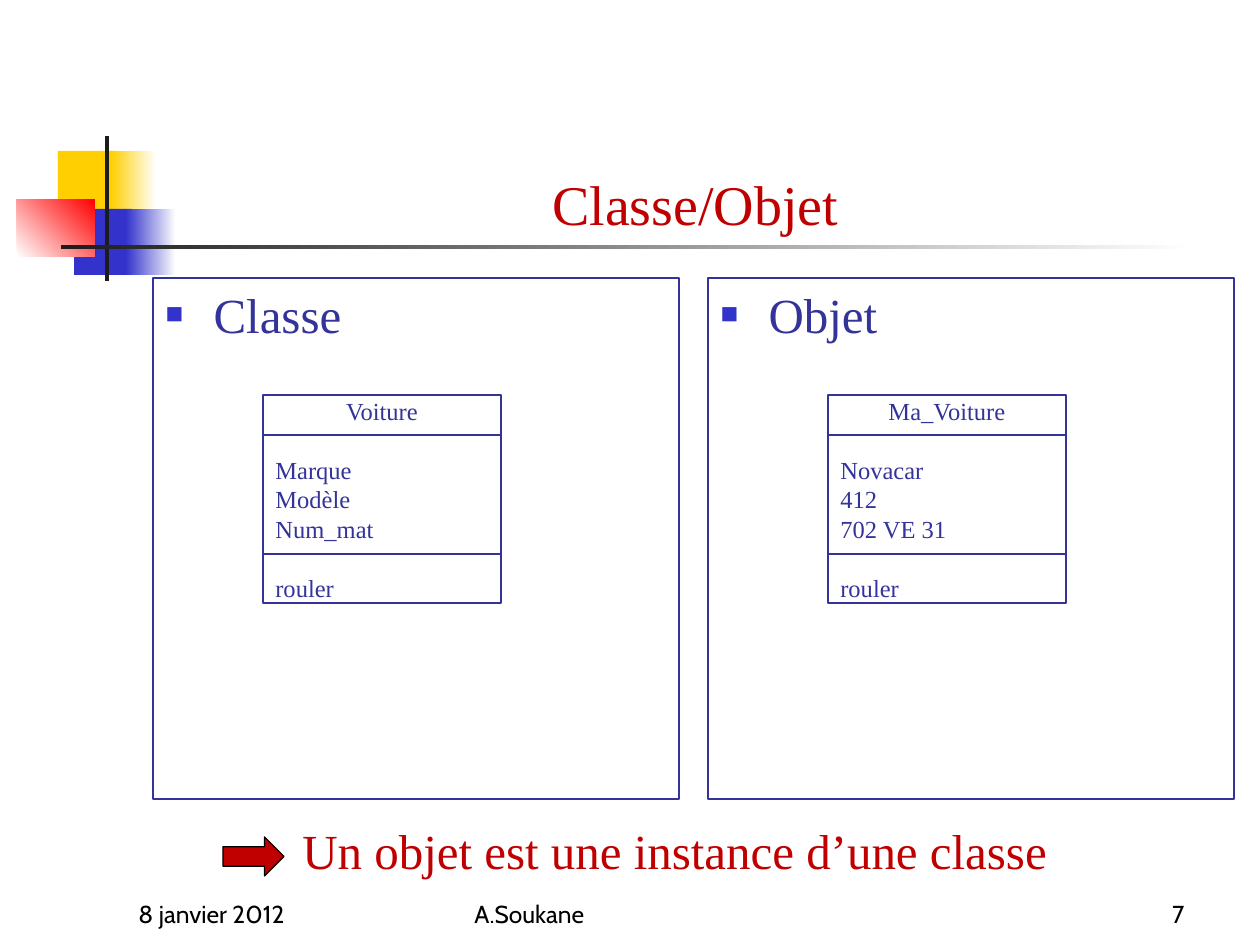
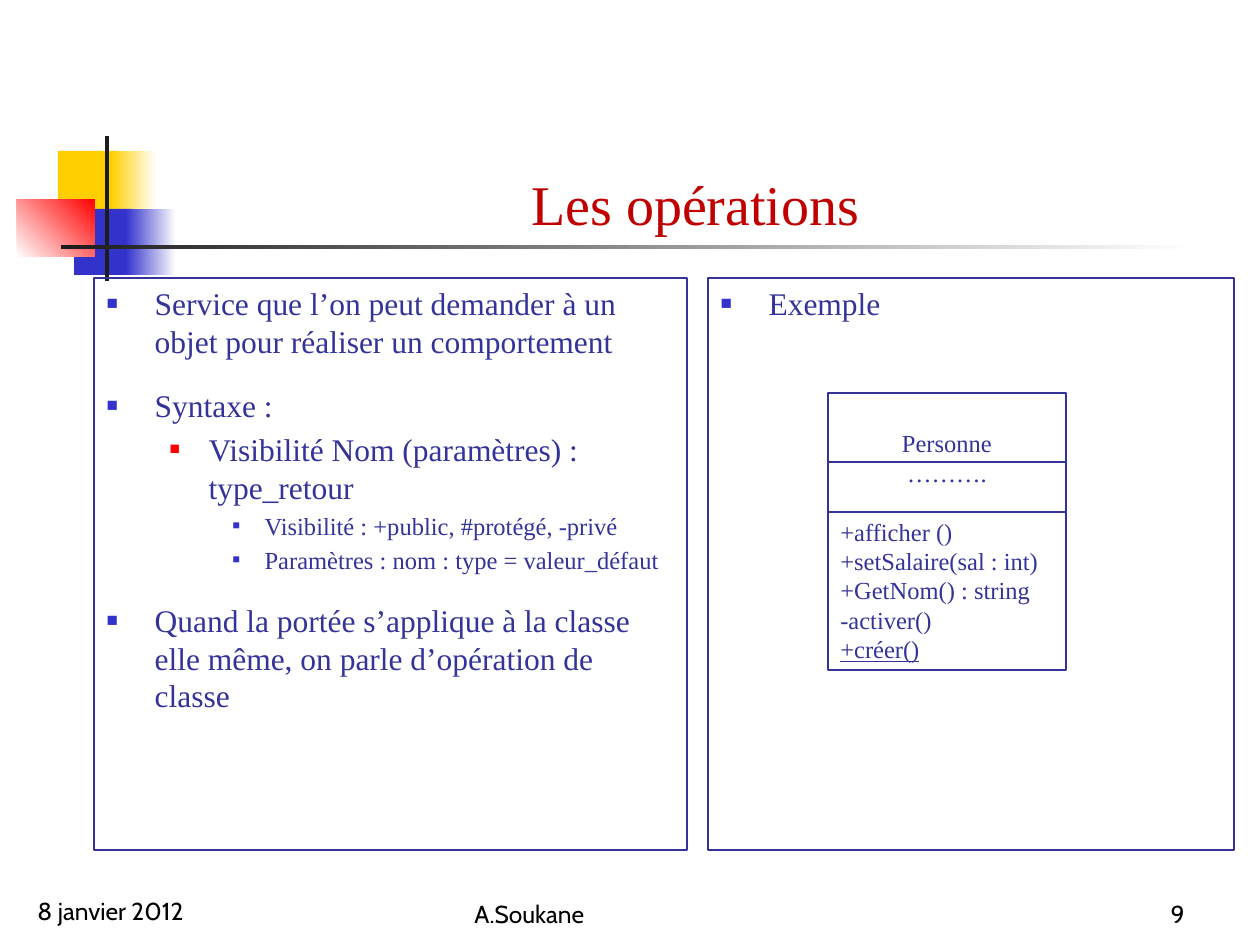
import pptx
import pptx.util
import pptx.dml.color
import pptx.enum.dml
import pptx.enum.shapes
import pptx.enum.text
import pptx.oxml
import pptx.oxml.ns
import lxml.etree

SCALE = 914400 // 126
COLORS = {
    "title": "C00000", "text": "333399", "blue": "3333CC", "red": "FF0000",
    "yellow": "FFCF01", "dark": "1C1C1C", "white": "FFFFFF", "black": "000000",
}
SERIF = "Times New Roman"
SANS = "Cabin"
ALIGN = pptx.enum.text.PP_ALIGN
ANCHOR = pptx.enum.text.MSO_ANCHOR
SHAPE = pptx.enum.shapes.MSO_SHAPE
LEVELS = [(48, 48, "blue", 60), (102, 39, "red", 55), (158, 32, "blue", 50)]


def emu(*pixels):
    return [pptx.util.Emu(pixel * SCALE) for pixel in pixels]


def rgb(name):
    return pptx.dml.color.RGBColor.from_string(COLORS[name])


def place(item, area):
    item.left, item.top, item.width, item.height = emu(*area)


def write(para, text, size=14, font=SERIF, color="text", align=ALIGN.LEFT,
          before=0, underline=None):
    para.alignment = align
    para.space_before = pptx.util.Pt(before)
    span = para.add_run()
    span.text = text
    span.font.size = pptx.util.Pt(size)
    span.font.name = font
    span.font.color.rgb = rgb(color)
    span.font.underline = underline


def add_bullet(para, level):
    indent, hanging, color, percent = LEVELS[level]
    para.level = level
    properties = para._p.get_or_add_pPr()
    properties.set("marL", str(indent * SCALE))
    properties.set("indent", str(-hanging * SCALE))
    tag = pptx.oxml.ns.qn
    tint = lxml.etree.SubElement(properties, tag("a:buClr"))
    lxml.etree.SubElement(tint, tag("a:srgbClr"), val=COLORS[color])
    lxml.etree.SubElement(properties, tag("a:buSzPct"), val=str(percent * 1000))
    lxml.etree.SubElement(properties, tag("a:buChar"), char="■")


class Lesson:
    def __init__(self):
        self.deck = pptx.Presentation()
        self.deck.slide_width = pptx.util.Inches(10)
        self.deck.slide_height = pptx.util.Inches(7.5)
        self.page = None

    def start(self, title, number, date_corner=(126, 872)):
        self.page = self.deck.slides.add_slide(self.deck.slide_layouts[3])
        self.emblem()
        for holder in self.page.placeholders:
            holder.element.getparent().append(holder.element)
        heading = self.page.shapes.title
        place(heading, (159, 86, 1073, 157))
        self.fill_text(heading, [(title, {})], anchor=ANCHOR.BOTTOM,
                       size=32, color="title", align=ALIGN.CENTER)
        footer = dict(anchor=ANCHOR.BOTTOM, font=SANS, color="black")
        self.label((*date_corner, 262, 63), "8 janvier 2012", **footer)
        self.label((462, 872, 399, 63), "A.Soukane", **footer)
        self.label((935, 872, 262, 63), number, align=ALIGN.RIGHT, **footer)

    def emblem(self):
        self.block((58, 151, 60, 66), "yellow")
        self.block((111, 151, 45, 66), "yellow", "white")
        self.block((74, 209, 58, 66), "blue")
        self.block((126, 209, 50, 66), "blue", "white")
        self.block((17, 199, 78, 58), "white", "red", angle=45)
        self.block((105, 136, 4, 145), "dark")
        self.block((61, 245, 1134, 4), "dark", "white")

    def block(self, area, color, fade=None, angle=0, outline=None, kind=SHAPE.RECTANGLE):
        box = self.page.shapes.add_shape(kind, *emu(*area))
        box.shadow.inherit = False
        if fade:
            box.fill.gradient()
            box.fill.gradient_angle = angle
            for stop, name in zip(box.fill.gradient_stops, (color, fade)):
                stop.color.rgb = rgb(name)
        else:
            box.fill.solid()
            box.fill.fore_color.rgb = rgb(color)
        self.outline(box, outline)
        return box

    def outline(self, item, color):
        if color:
            item.line.color.rgb = rgb(color)
            item.line.width = pptx.util.Pt(0.75)
        else:
            item.line.fill.background()

    def fill_text(self, box, lines, anchor=ANCHOR.TOP, **style):
        frame = box.text_frame
        frame.word_wrap = True
        frame.auto_size = pptx.enum.text.MSO_AUTO_SIZE.NONE
        frame.vertical_anchor = anchor
        for index, (text, options) in enumerate(lines):
            para = frame.add_paragraph() if index else frame.paragraphs[0]
            write(para, text, **{**style, **options})

    def label(self, area, text, **style):
        box = self.page.shapes.add_textbox(*emu(*area))
        self.fill_text(box, [(text, {})], **style)
        return box

    def panel(self, index, area, items, size):
        box = self.page.placeholders[index]
        place(box, area)
        box.fill.background()
        self.outline(box, "text")
        self.fill_text(box, [(text, options) for level, text, options in items], size=size)
        for para, (level, text, options) in zip(box.text_frame.paragraphs, items):
            add_bullet(para, level)

    def divider(self, left, top, width):
        line = self.page.shapes.add_connector(
            pptx.enum.shapes.MSO_CONNECTOR.STRAIGHT, *emu(left, top, left + width, top))
        self.outline(line, "text")
        lxml.etree.SubElement(line._element.spPr, pptx.oxml.ns.qn("a:effectLst"))
        return line

    def class_diagram(self, area, dividers, lines, anchor=ANCHOR.MIDDLE):
        box = self.block(area, "white", outline="text")
        self.fill_text(box, lines, anchor=anchor)
        rules = [self.divider(area[0], top, area[2]) for top in dividers]
        self.page.shapes.add_group_shape([box, *rules])

    def conclusion(self, text):
        sentence = self.label((290, 820, 887, 59), text, anchor=ANCHOR.MIDDLE,
                              size=28, color="title")
        arrow = self.block((223, 837, 61, 39), "title", outline="black",
                           kind=SHAPE.RIGHT_ARROW)
        self.page.shapes.add_group_shape([sentence, arrow])


CENTER = {"align": ALIGN.CENTER}
SECTION = {"before": 16.8}
lesson = Lesson()

lesson.start("Classe/Objet", "7")
columns = [
    (153, 263, "Classe", "Voiture", ["Marque", "Modèle", "Num_mat"]),
    (708, 828, "Objet", "Ma_Voiture", ["Novacar", "412", "702 VE 31"]),
]
for index, (left, diagram_left, heading, name, fields) in enumerate(columns, 1):
    lesson.panel(index, (left, 278, 526, 521), [(0, heading, {})], size=28)
    lesson.class_diagram(
        (diagram_left, 395, 238, 208), (435, 554),
        [(name, CENTER), (fields[0], SECTION), (fields[1], {}), (fields[2], {}),
         ("rouler", SECTION)])
lesson.conclusion("Un objet est une instance d’une classe")

lesson.start("Les opérations", "9", date_corner=(25, 869))
detail = {"size": 14, "before": 2.8}
topic = {"before": 15}
lesson.panel(1, (94, 278, 593, 572), [
    (0, "Service que l’on peut demander à un objet pour réaliser un comportement", {}),
    (0, "Syntaxe :", topic),
    (1, "Visibilité Nom (paramètres) : type_retour", {"before": 3.6}),
    (2, "Visibilité : +public, #protégé, -privé", detail),
    (2, "Paramètres : nom : type = valeur_défaut", detail),
    (0, "Quand la portée s’applique à la classe elle même, "
        "on parle d’opération de classe", topic),
], size=18)
lesson.panel(2, (708, 278, 526, 572), [(0, "Exemple", {})], size=18)
lesson.class_diagram((828, 393, 238, 277), (462, 512), [
    ("Personne", CENTER),
    ("……….", CENTER),
    ("+afficher ()", SECTION),
    ("+setSalaire(sal : int)", {}),
    ("+GetNom() : string", {}),
    ("-activer()", {}),
    ("+créer()", {"underline": True}),
], anchor=ANCHOR.BOTTOM)

lesson.deck.save("out.pptx")
